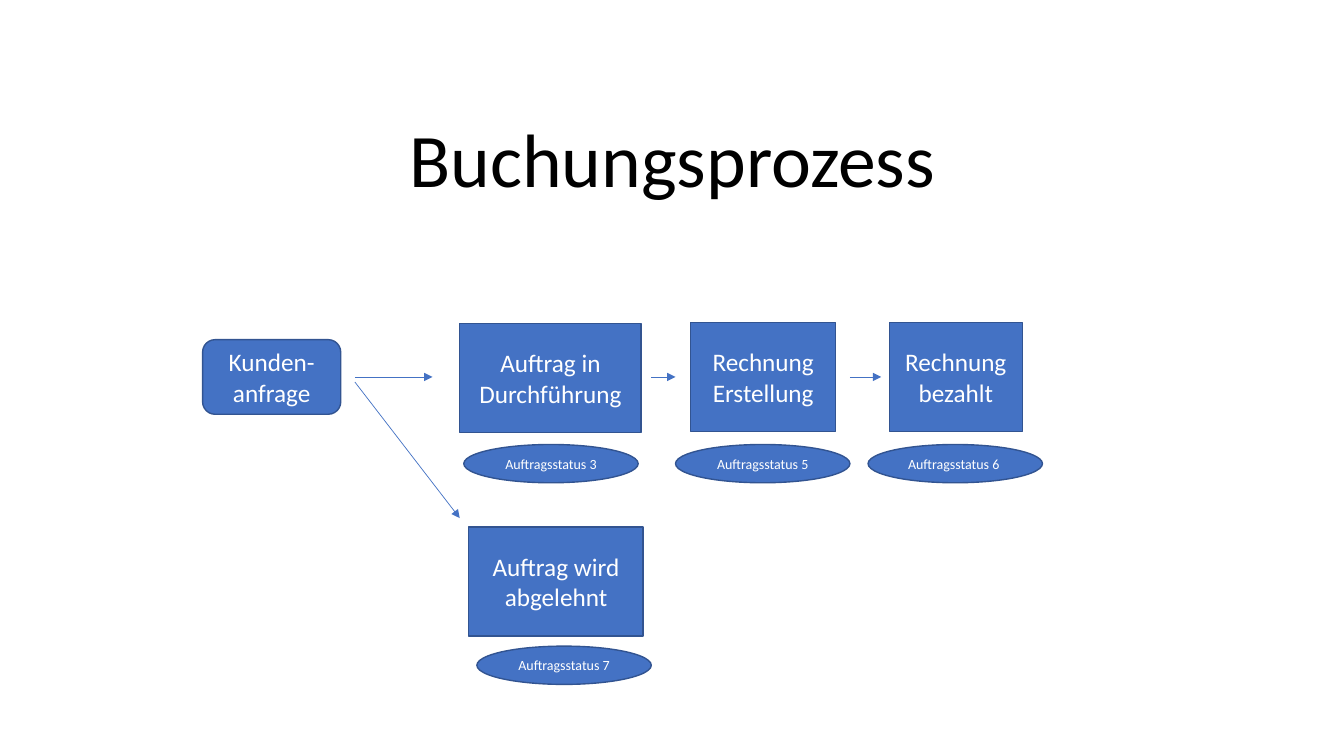
"""Builds the slide "Buchungsprozess", a flow of booking steps with their status."""
import lxml.etree
import pptx
import pptx.dml.color
import pptx.enum.shapes
import pptx.enum.text
import pptx.oxml.ns
import pptx.util

Inches = pptx.util.Inches
SHAPES = pptx.enum.shapes.MSO_SHAPE
ANCHORS = pptx.enum.text.MSO_ANCHOR
BLUE, DARK_BLUE, WHITE, BLACK = "4472C4", "325491", "FFFFFF", "000000"
BOX_HEIGHT = 1.08
STATUS_WIDTH, STATUS_HEIGHT = 1.73, 0.38
ARROW_Y = 3.74


def color(hex_string):
    return pptx.dml.color.RGBColor.from_string(hex_string)


def write_text(shape, text, size, hex_string, anchor):
    frame = shape.text_frame
    frame.word_wrap = True
    frame.vertical_anchor = anchor
    paragraph = frame.paragraphs[0]
    paragraph.alignment = pptx.enum.text.PP_ALIGN.CENTER
    run = paragraph.add_run()
    run.text = text
    run.font.name = "Calibri"
    run.font.size = pptx.util.Pt(size)
    run.font.color.rgb = color(hex_string)
    return paragraph


presentation = pptx.Presentation()
presentation.slide_width = Inches(13.33)
presentation.slide_height = Inches(7.5)
slide = presentation.slides.add_slide(presentation.slide_layouts[6])

title = slide.shapes.add_textbox(Inches(1.67), Inches(1.23), Inches(10), Inches(0.84))
title_paragraph = write_text(title, "Buchungsprozess", 54, BLACK, ANCHORS.BOTTOM)
title_paragraph.line_spacing = 0.9

steps = [
    (SHAPES.ROUNDED_RECTANGLE, 2.01, 3.37, 1.37, 0.74, "Kunden-anfrage", 18),
    (SHAPES.RECTANGLE, 4.56, 3.21, 1.8, BOX_HEIGHT, "Auftrag in Durchführung", 18),
    (SHAPES.RECTANGLE, 4.65, 5.23, 1.73, BOX_HEIGHT, "Auftrag wird abgelehnt", 18),
    (SHAPES.RECTANGLE, 6.85, 3.2, 1.44, BOX_HEIGHT, "Rechnung Erstellung", 18),
    (SHAPES.RECTANGLE, 8.82, 3.2, 1.32, BOX_HEIGHT, "Rechnung bezahlt", 18),
]
statuses = [
    (SHAPES.OVAL, left, top, STATUS_WIDTH, STATUS_HEIGHT, text, 10)
    for left, top, text in [
        (4.6, 4.41, "Auftragsstatus 3"),
        (6.7, 4.41, "Auftragsstatus 5"),
        (8.61, 4.41, "Auftragsstatus 6 "),
        (4.73, 6.41, "Auftragsstatus 7"),
    ]
]
for kind, left, top, width, height, text, size in steps + statuses:
    shape = slide.shapes.add_shape(
        kind, Inches(left), Inches(top), Inches(width), Inches(height)
    )
    shape.shadow.inherit = False
    shape.fill.solid()
    shape.fill.fore_color.rgb = color(BLUE)
    shape.line.color.rgb = color(DARK_BLUE)
    shape.line.width = pptx.util.Pt(1)
    write_text(shape, text, size, WHITE, ANCHORS.MIDDLE)

arrows = [
    (3.52, ARROW_Y, 4.29, ARROW_Y),
    (3.52, 3.79, 4.56, 5.14),
    (6.46, ARROW_Y, 6.7, ARROW_Y),
    (8.43, ARROW_Y, 8.74, ARROW_Y),
]
for start_x, start_y, end_x, end_y in arrows:
    arrow = slide.shapes.add_connector(
        pptx.enum.shapes.MSO_CONNECTOR.STRAIGHT,
        Inches(start_x), Inches(start_y), Inches(end_x), Inches(end_y),
    )
    arrow.line.color.rgb = color(BLUE)
    arrow.line.width = pptx.util.Pt(0.5)
    properties = arrow.element.spPr
    line = properties.find(pptx.oxml.ns.qn("a:ln"))
    lxml.etree.SubElement(line, pptx.oxml.ns.qn("a:tailEnd"), type="triangle")
    lxml.etree.SubElement(properties, pptx.oxml.ns.qn("a:effectLst"))

presentation.save("out.pptx")
